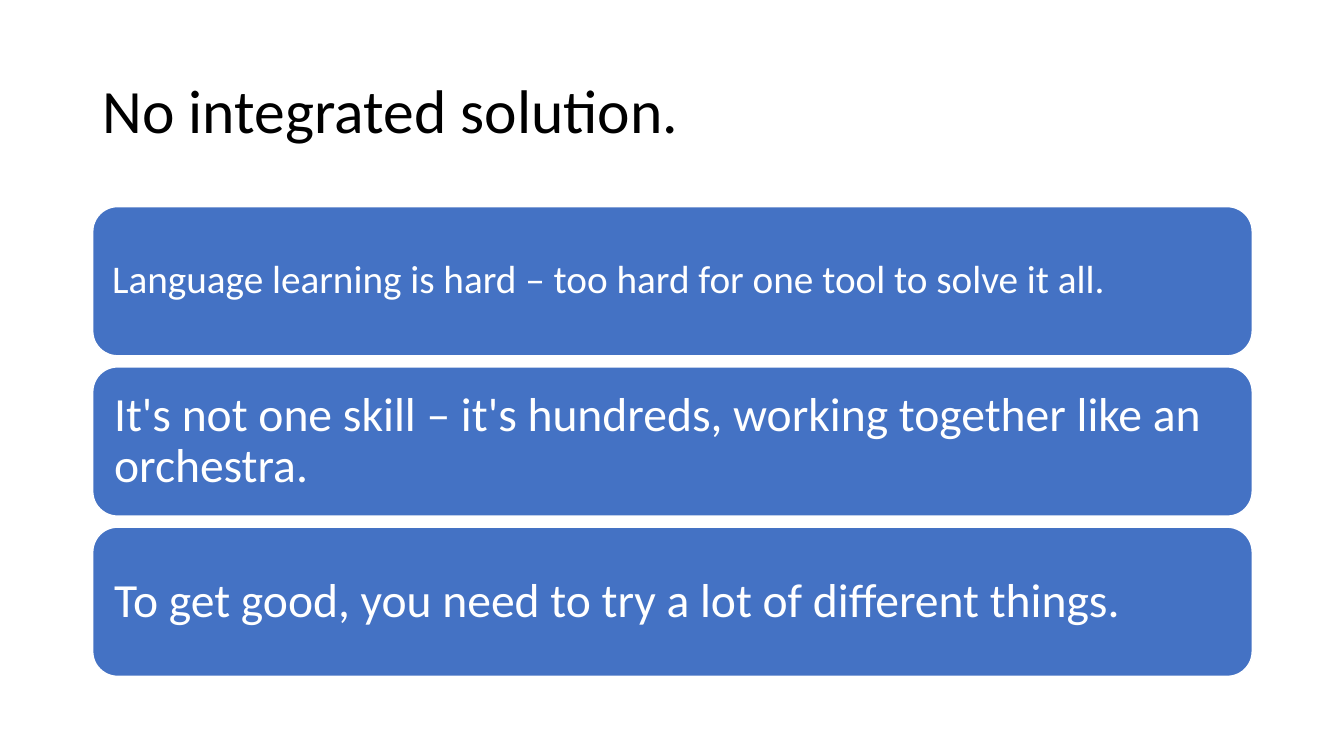
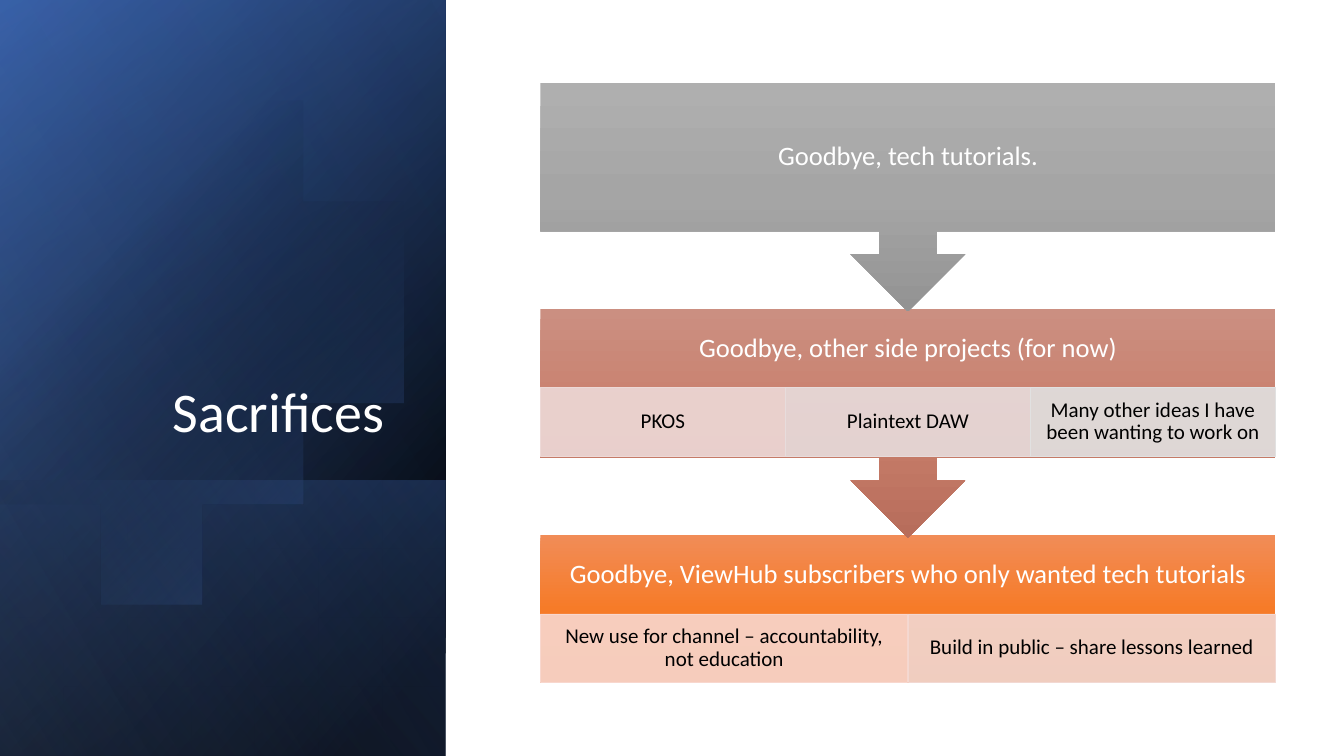
import math
from lxml import etree
from pptx import Presentation, util as u
from pptx.dml.color import RGBColor
from pptx.enum import shapes, text
from pptx.oxml.ns import qn

W, H = 13.33, 7.5
FONT, BLUE, WHITE, BLACK = "Calibri", "4472C4", "FFFFFF", "000000"
MSO, ANCHOR, ALIGN = shapes.MSO_SHAPE, text.MSO_ANCHOR, text.PP_ALIGN

prs = Presentation()
prs.slide_width, prs.slide_height = u.Inches(W), u.Inches(H)


def paint(sp, stops, angle=90, line=None):
    """Fill with (position, hex, opacity) stops; line is (hex, points)."""
    sp.shadow.inherit = False
    sp.fill.gradient()
    grad = sp._element.spPr.find(qn("a:gradFill"))
    gs_list = grad.find(qn("a:gsLst"))
    for old in list(gs_list):
        gs_list.remove(old)
    for pos, color, opacity in stops:
        gs = etree.SubElement(gs_list, qn("a:gs"), pos=str(pos * 1000))
        clr = etree.SubElement(gs, qn("a:srgbClr"), val=color)
        etree.SubElement(clr, qn("a:alpha"), val=str(opacity * 1000))
    grad.find(qn("a:lin")).set("ang", str(angle * 60000))
    if line:
        sp.line.color.rgb = RGBColor.from_string(line[0])
        sp.line.width = u.Pt(line[1])
    else:
        sp.line.fill.background()


def write(sp, words, size, color, align=ALIGN.LEFT, anchor=ANCHOR.MIDDLE,
          insets=(0.1, 0.05, 0.1, 0.05)):
    """Set one paragraph; insets are left, top, right, bottom."""
    tf = sp.text_frame
    tf.word_wrap, tf.vertical_anchor = True, anchor
    for side, inset in zip(("left", "top", "right", "bottom"), insets):
        setattr(tf, f"margin_{side}", u.Inches(inset))
    p = tf.paragraphs[0]
    p.alignment, p.line_spacing = align, 0.9
    r = p.add_run()
    r.text = words
    for key, value in {"name": FONT, "size": u.Pt(size)}.items():
        setattr(r.font, key, value)
    r.font.color.rgb = RGBColor.from_string(color)


# Slide 1: three stacked bars
s = prs.slides.add_slide(prs.slide_layouts[6])
left, width = 0.92, 11.5
title = s.shapes.add_textbox(*map(u.Inches, (left, 0.4, width, 1.45)))
write(title, "No integrated solution.", 44, BLACK)

bars = [
    ("Language learning is hard – too hard for one tool to solve it all.", 28, 0.12),
    ("It's not one skill – it's hundreds, working together like an orchestra.", 34, 0.14),
    ("To get good, you need to try a lot of different things.", 34, 0.14),
]
top, height, gap = 2.05, 1.48, 0.11
for row, (words, size, inset) in enumerate(bars):
    bar = s.shapes.add_shape(MSO.ROUNDED_RECTANGLE, *map(
        u.Inches, (left, top + row * (height + gap), width, height)))
    paint(bar, [(0, BLUE, 100), (100, BLUE, 100)], line=(WHITE, 1))
    write(bar, words, size, WHITE, insets=[inset] * 4)

# Slide 2: dark panel with a title, then three steps
s = prs.slides.add_slide(prs.slide_layouts[6])
panel, band_top = W * 0.3316, H * 0.635
layers = [
    (0, [(0, BLACK, 100), (8, BLACK, 100), (100, "2F5597", 100)], 220),
    (0, [(0, BLACK, 0), (99, BLUE, 46)], 240),
    (band_top, [(2, BLUE, 29), (100, BLACK, 30)], 140),
]
for y, stops, angle in layers:
    layer = s.shapes.add_shape(MSO.RECTANGLE, *map(u.Inches, (0, y, panel, H - y)))
    paint(layer, stops, angle)

# Disc cut off by the slide's left edge
cx, cy, radius, parts = 1.43, 3.38, 2.29, 120
half = math.acos(-cx / radius)
arc = [(cx + radius * math.cos(a), cy + radius * math.sin(a))
       for a in (half * (2 * i / parts - 1) for i in range(parts + 1))]
outline = s.shapes.build_freeform(*arc[0], scale=u.Inches(1))
outline.add_line_segments(arc[1:], close=True)
paint(outline.convert_to_shape(), [(0, BLACK, 0), (29, BLACK, 0), (100, BLUE, 43)], 45)

glow = s.shapes.add_shape(MSO.RECTANGLE, *map(u.Inches, (0, 0, panel, H)))
paint(glow, [(0, BLACK, 0), (99, "8FAADC", 11)], 150)
title = s.shapes.add_textbox(*map(u.Inches, (0.64, 1.84, 3.27, 2.62)))
write(title, "Sacrifices", 40, WHITE, ALIGN.RIGHT, ANCHOR.BOTTOM)

left, width, top, pitch = 5.36, 7.29, 0.82, 2.245
body, arrow_step, head, cell = 1.47, 2.27, 0.78, 0.68
steps = [
    ("Goodbye, tech tutorials.", ("AFAFAF", "A5A5A5", "939393"), []),
    ("Goodbye, other side projects (for now)", ("CB8F81", "C97E6B", "B76D5B"),
     [("PKOS", "EDD9D7"), ("Plaintext DAW", "E7DCDC"),
      ("Many other ideas I have been wanting to work on", "E1E1E1")]),
    ("Goodbye, ViewHub subscribers who only wanted tech tutorials",
     ("F18C57", "F67B28", "E56C19"),
     [("New use for channel – accountability, not education", "F8D7CE"),
      ("Build in public – share lessons learned", "F2D8D2")]),
]
for row, (words, colors, cells) in reversed(list(enumerate(steps))):
    y = top + row * pitch
    last = row == len(steps) - 1
    kind, height = (MSO.RECTANGLE, body) if last else (MSO.DOWN_ARROW_CALLOUT, arrow_step)
    step = s.shapes.add_shape(kind, *map(u.Inches, (left, y, width, height)))
    paint(step, [(pos, c, 100) for pos, c in zip((0, 50, 100), colors)])
    below = body - head if cells else 0
    write(step, words, 19, WHITE, ALIGN.CENTER, insets=(0.15, 0.15, 0.15, 0.15 + below))
    for col, (label, color) in enumerate(cells):
        w = width / len(cells)
        sp = s.shapes.add_shape(MSO.RECTANGLE, *map(
            u.Inches, (left + col * w, y + head, w, cell)))
        paint(sp, [(0, color, 90), (100, color, 90)], line=(color, 0.5))
        write(sp, label, 15, BLACK, ALIGN.CENTER, insets=(0.12, 0.02, 0.12, 0.02))

prs.save("out.pptx")
